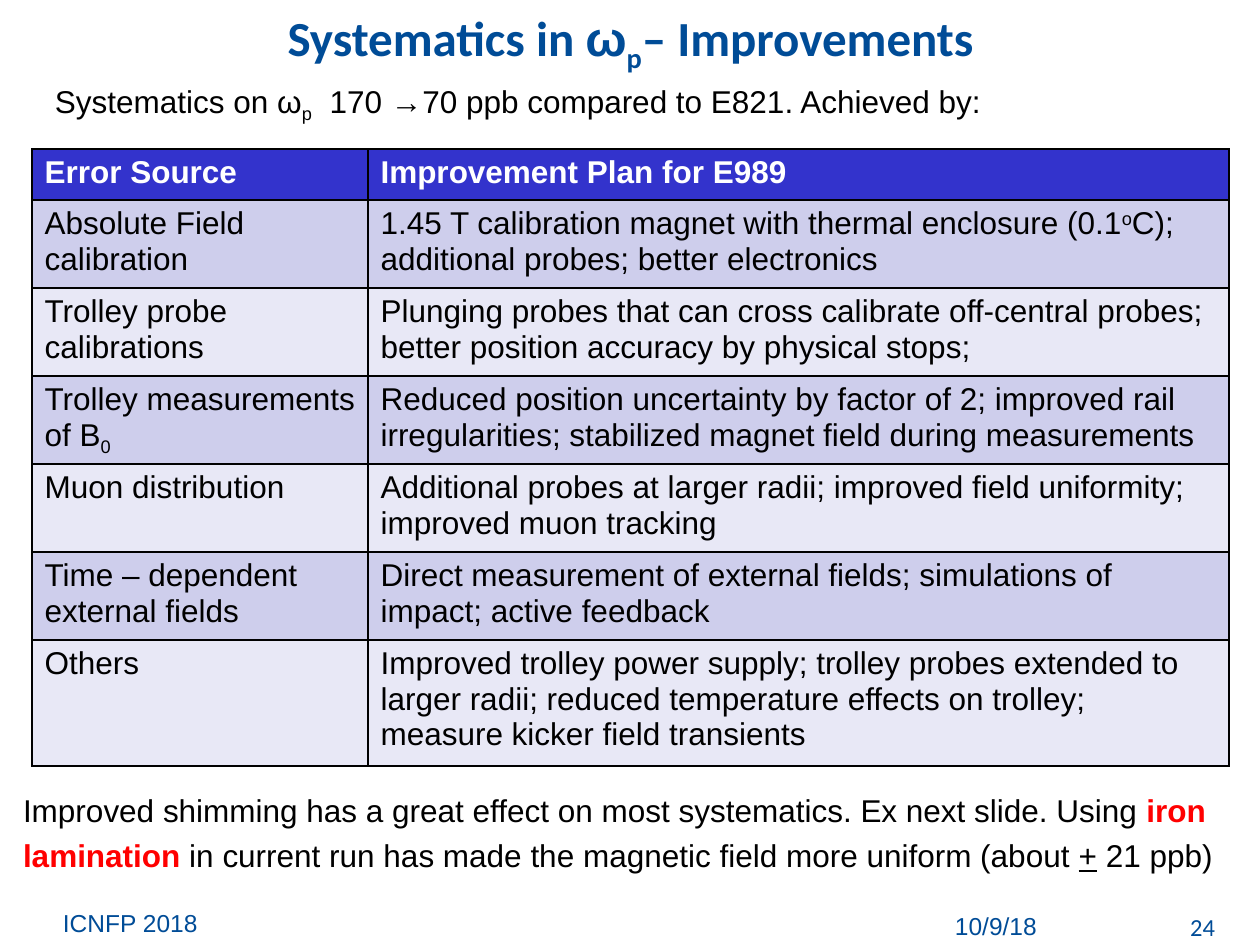
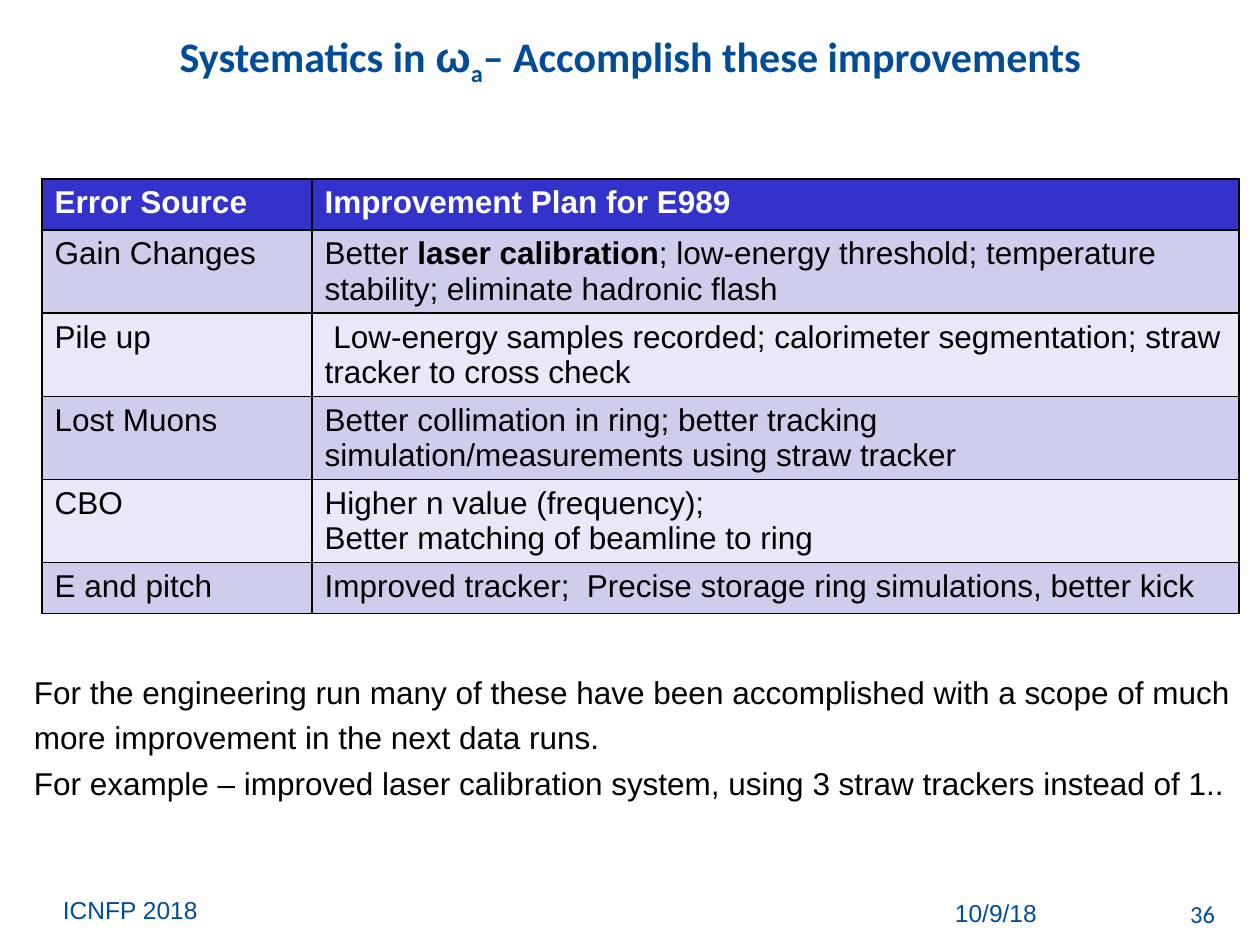
from dataclasses import dataclass
from typing import NamedTuple

from lxml import etree
from pptx import Presentation
from pptx.dml.color import RGBColor
from pptx.enum.text import MSO_ANCHOR, MSO_AUTO_SIZE, PP_ALIGN
from pptx.oxml.ns import qn
from pptx.util import Emu, Pt

LEFT, CENTER, RIGHT = PP_ALIGN.LEFT, PP_ALIGN.CENTER, PP_ALIGN.RIGHT
TOP, MIDDLE = MSO_ANCHOR.TOP, MSO_ANCHOR.MIDDLE
NO_AUTOFIT = MSO_AUTO_SIZE.NONE
TITLE_ONLY = 5
PX_PER_INCH = 126
SUBSCRIPT, SUPERSCRIPT = -25, 30


@dataclass(frozen=True)
class Theme:
    blue: str = "004C97"
    black: str = "000000"
    white: str = "FFFFFF"
    red: str = "FF0000"
    header_fill: str = "3333CC"
    band_fills: tuple[str, str] = ("CECEEC", "E8E8F6")
    body_font: str = "Arial"
    title_font: str = "Calibri"
    body_size: int = 18
    footer_size: int = 14
    body_pitch: int = 26
    title_spacing: float = 0.98
    border_width: int = 1


THEME = Theme()


class Run(NamedTuple):
    text: str
    bold: bool = False
    color: str | None = None
    baseline: int = 0
    underline: bool = False
    font: str | None = None


Paragraph = list[Run]


class Box(NamedTuple):
    left: int
    top: int
    width: int
    height: int


class Style(NamedTuple):
    size: int
    color: str
    font: str = THEME.body_font
    bold: bool = False
    align: PP_ALIGN = LEFT
    spacing: float | Pt | None = None


class Note(NamedTuple):
    box: Box
    paragraphs: list[Paragraph]


class SlideContent(NamedTuple):
    title_box: Box
    title_size: int
    symbol_index: str
    title_ending: str
    table_left: int
    table_top: int
    column_widths: tuple[int, int]
    row_heights: list[int]
    rows: list[tuple[list[Paragraph], list[Paragraph]]]
    notes: list[Note]
    footer_top: int
    number: str


TABLE_STYLE = Style(THEME.body_size, THEME.black)
HEADER_STYLE = Style(THEME.body_size, THEME.white, bold=True)
NOTE_STYLE = Style(THEME.body_size, THEME.black, spacing=Pt(THEME.body_pitch))
FOOTER_STYLE = Style(THEME.footer_size, THEME.blue)


def px(length: int) -> Emu:
    return Emu(round(length * 914400 / PX_PER_INCH))


def lines(*texts: str) -> list[Paragraph]:
    """Plain paragraphs, one run each."""
    return [[Run(text)] for text in texts]


def write(frame, paragraphs: list[Paragraph], style: Style) -> None:
    """Fill a text frame run by run."""
    for index, runs in enumerate(paragraphs):
        paragraph = frame.add_paragraph() if index else frame.paragraphs[0]
        paragraph.alignment = style.align
        if style.spacing:
            paragraph.line_spacing = style.spacing
        for item in runs:
            run = paragraph.add_run()
            run.text = item.text
            run.font.size = Pt(style.size)
            run.font.name = item.font or style.font
            run.font.bold = style.bold or item.bold
            run.font.color.rgb = RGBColor.from_string(item.color or style.color)
            if item.underline:
                run.font.underline = True
            if item.baseline:
                run._r.get_or_add_rPr().set("baseline", str(item.baseline * 1000))


def set_frame(frame, insets: tuple[int, int, int, int], anchor: MSO_ANCHOR) -> None:
    frame.word_wrap = True
    frame.auto_size = NO_AUTOFIT
    frame.vertical_anchor = anchor
    (frame.margin_left, frame.margin_top,
     frame.margin_right, frame.margin_bottom) = map(px, insets)


def add_text(slide, box: Box, paragraphs: list[Paragraph], style: Style,
             insets: tuple[int, int, int, int] = (13, 6, 13, 6)) -> None:
    shape = slide.shapes.add_textbox(*map(px, box))
    set_frame(shape.text_frame, insets, TOP)
    write(shape.text_frame, paragraphs, style)


def add_title(slide, content: SlideContent) -> None:
    title = slide.shapes.title
    title.left, title.top, title.width, title.height = map(px, content.title_box)
    set_frame(title.text_frame, (0, 1, 0, 0), MIDDLE)
    runs = [Run("Systematics in "), Run("ω", font=THEME.body_font),
            Run(content.symbol_index, baseline=SUBSCRIPT), Run(content.title_ending)]
    write(title.text_frame, [runs],
          Style(content.title_size, THEME.blue, THEME.title_font, True, CENTER,
                THEME.title_spacing))


def paint_cell(cell, fill: str) -> None:
    """Give a cell its four borders and its fill."""
    properties = cell._tc.get_or_add_tcPr()
    for side in ("lnL", "lnR", "lnT", "lnB"):
        line = etree.SubElement(properties, qn(f"a:{side}"),
                                w=str(Pt(THEME.border_width)))
        solid = etree.SubElement(line, qn("a:solidFill"))
        etree.SubElement(solid, qn("a:srgbClr"), val=THEME.black)
    cell.fill.solid()
    cell.fill.fore_color.rgb = RGBColor.from_string(fill)


def add_error_table(slide, content: SlideContent) -> None:
    rows = [(lines("Error Source"), lines("Improvement Plan for E989")), *content.rows]
    box = Box(content.table_left, content.table_top,
              sum(content.column_widths), sum(content.row_heights))
    table = slide.shapes.add_table(len(rows), 2, *map(px, box)).table
    for column, width in zip(table.columns, content.column_widths):
        column.width = px(width)
    for row_index, cells in enumerate(rows):
        table.rows[row_index].height = px(content.row_heights[row_index])
        style = TABLE_STYLE if row_index else HEADER_STYLE
        fill = THEME.band_fills[(row_index - 1) % 2] if row_index else THEME.header_fill
        for column_index, paragraphs in enumerate(cells):
            cell = table.cell(row_index, column_index)
            write(cell.text_frame, paragraphs, style)
            paint_cell(cell, fill)


def add_footer(slide, top: int, number: str) -> None:
    flush = (0, 0, 0, 0)
    right_style = FOOTER_STYLE._replace(align=RIGHT)
    add_text(slide, Box(63, top, 795, 48), lines("ICNFP 2018"), FOOTER_STYLE, flush)
    add_text(slide, Box(888, top + 3, 149, 33), lines("10/9/18"), right_style, flush)
    add_text(slide, Box(1124, top - 2, 104, 33), lines(number),
             right_style._replace(font=THEME.title_font))


# Slide contents
FIELD_SLIDE = SlideContent(
    title_box=Box(32, -4, 1197, 88),
    title_size=28,
    symbol_index="p",
    title_ending="– Improvements",
    table_left=32,
    table_top=149,
    column_widths=(336, 861),
    row_heights=[51] + [88] * 5 + [126],
    rows=[
        (lines("Absolute Field calibration"),
         [[Run("1.45 T calibration magnet with thermal enclosure (0.1"),
           Run("o", baseline=SUPERSCRIPT),
           Run("C); additional probes; better electronics")]]),
        (lines("Trolley probe calibrations"),
         lines("Plunging probes that can cross calibrate off-central probes; "
               "better position accuracy by physical stops;")),
        ([[Run("Trolley measurements")],
          [Run("of B"), Run("0", baseline=SUBSCRIPT)]],
         lines("Reduced position uncertainty by factor of 2; improved rail "
               "irregularities; stabilized magnet field during measurements")),
        (lines("Muon distribution"),
         lines("Additional probes at larger radii; improved field uniformity; "
               "improved muon tracking")),
        (lines("Time – dependent external fields"),
         lines("Direct measurement of external fields; simulations of impact; "
               "active feedback")),
        (lines("Others"),
         lines("Improved trolley power supply; trolley probes extended to larger "
               "radii; reduced temperature effects on trolley;",
               "measure kicker field transients")),
    ],
    notes=[
        Note(Box(10, 777, 1292, 103),
             [[Run("Improved shimming has a great effect on most systematics. "
                   "Ex next slide. Using "),
               Run("iron lamination", bold=True, color=THEME.red),
               Run(" in current run has made the magnetic field more uniform (about "),
               Run("+", underline=True), Run(" 21 ppb)")]]),
        Note(Box(42, 73, 1144, 57),
             [[Run("Systematics on ω"), Run("p", baseline=SUBSCRIPT),
               Run("  170 →70 ppb compared to E821. Achieved by:")]]),
    ],
    footer_top=908,
    number="24",
)

PRECESSION_SLIDE = SlideContent(
    title_box=Box(32, 14, 1197, 88),
    title_size=24,
    symbol_index="a",
    title_ending="– Accomplish these improvements",
    table_left=42,
    table_top=179,
    column_widths=(270, 927),
    row_heights=[51] + [83] * 4 + [51],
    rows=[
        (lines("Gain Changes"),
         [[Run("Better "), Run("laser calibration", bold=True),
           Run("; low-energy threshold; temperature stability; "
               "eliminate hadronic flash")]]),
        (lines("Pile up"),
         lines(" Low-energy samples recorded; calorimeter segmentation; "
               "straw tracker to cross check")),
        (lines("Lost Muons"),
         lines("Better collimation in ring; better tracking "
               "simulation/measurements using straw tracker")),
        (lines("CBO"),
         lines("Higher n value (frequency);", "Better matching of beamline to ring")),
        (lines("E and pitch"),
         lines("Improved tracker;  Precise storage ring simulations, better kick")),
    ],
    notes=[
        Note(Box(21, 659, 1239, 149),
             lines("For the engineering run many of these have been accomplished with "
                   "a scope of much more improvement in the next data runs.",
                   "For example – improved laser calibration system, using 3 straw "
                   "trackers instead of 1..")),
    ],
    footer_top=895,
    number="36",
)


def build_slide(presentation, content: SlideContent) -> None:
    slide = presentation.slides.add_slide(presentation.slide_layouts[TITLE_ONLY])
    add_title(slide, content)
    add_footer(slide, content.footer_top, content.number)
    add_error_table(slide, content)
    for note in content.notes:
        add_text(slide, note.box, note.paragraphs, NOTE_STYLE)


def main() -> None:
    presentation = Presentation()
    presentation.slide_width, presentation.slide_height = px(1260), px(945)
    for content in (FIELD_SLIDE, PRECESSION_SLIDE):
        build_slide(presentation, content)
    presentation.save("out.pptx")


if __name__ == "__main__":
    main()
